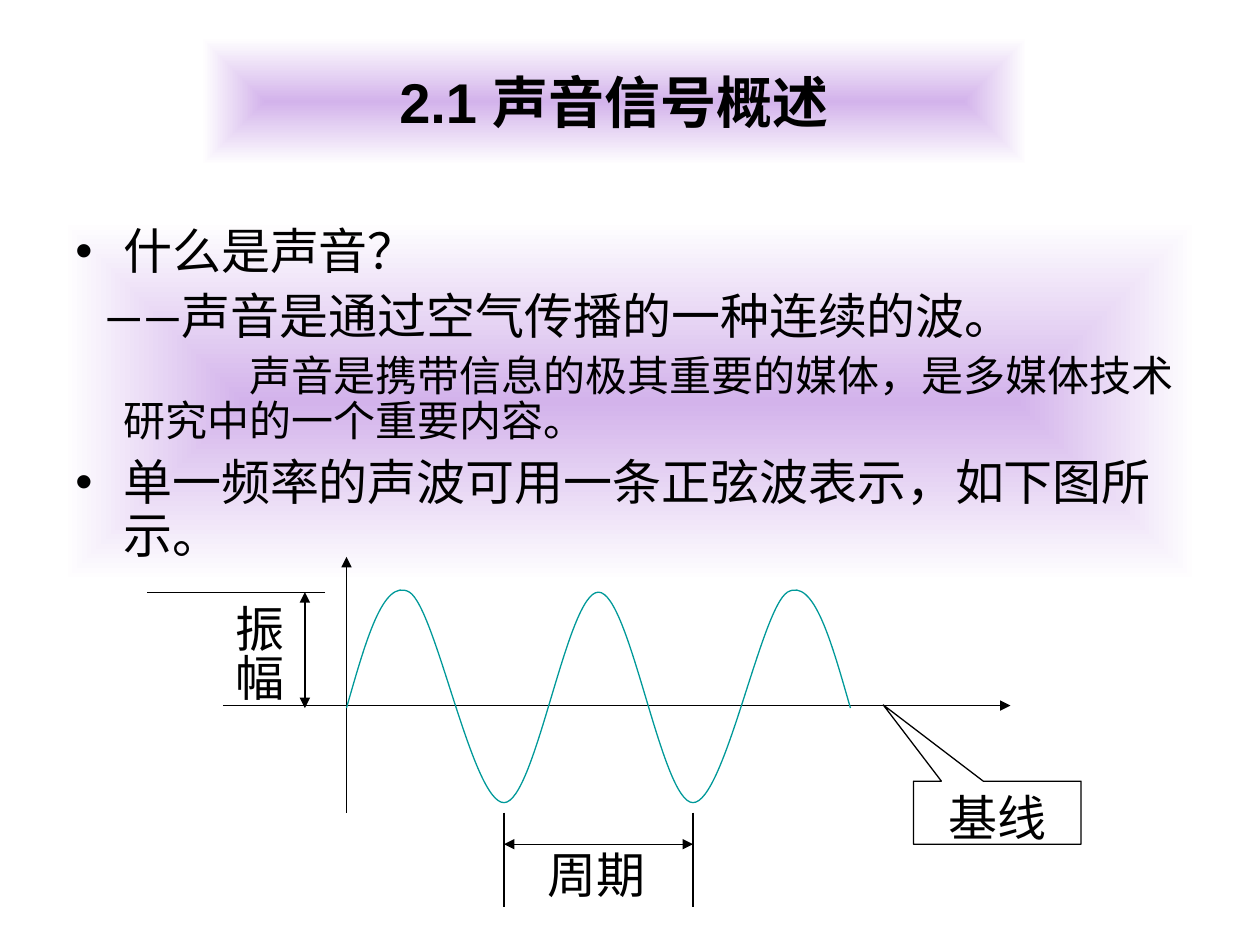
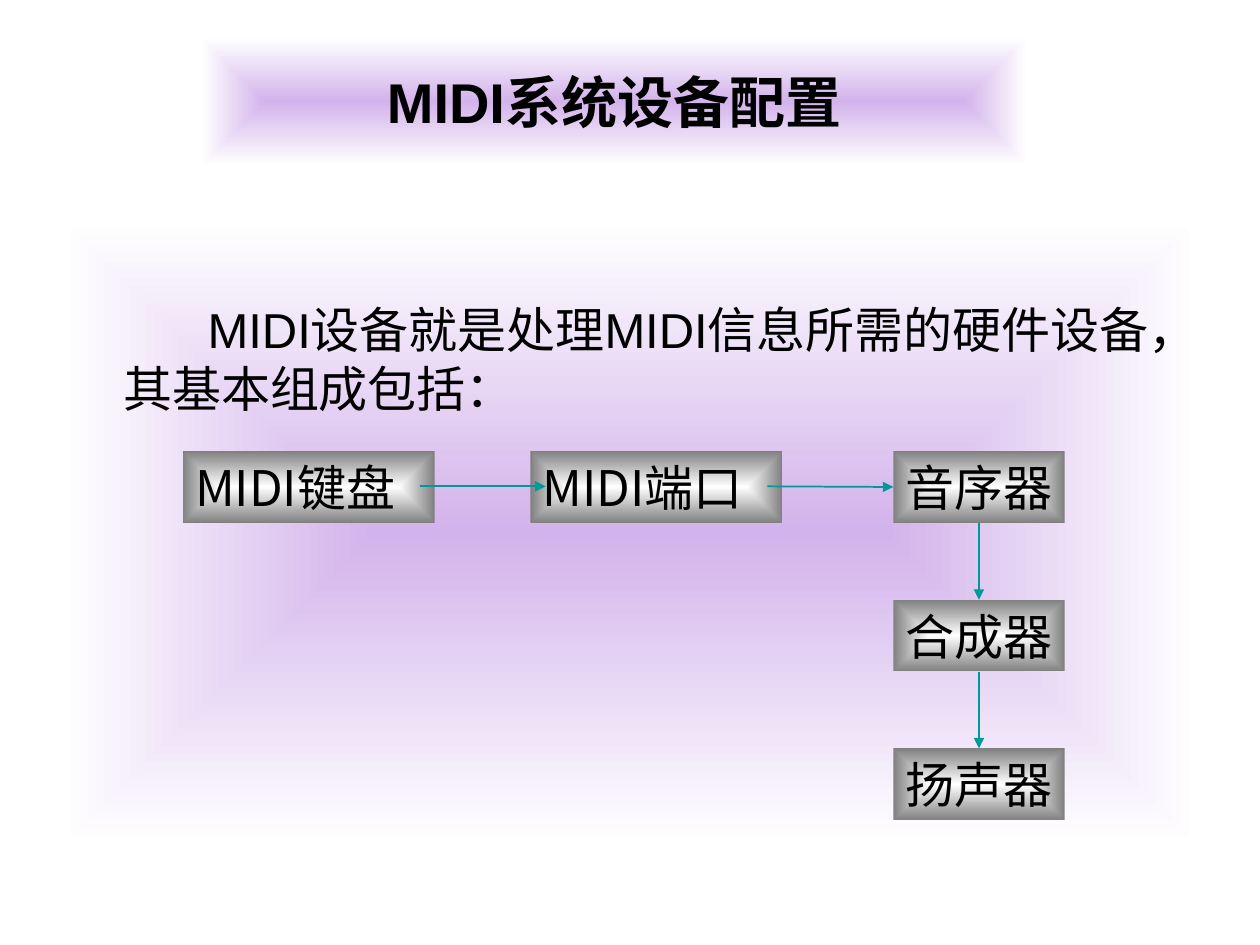
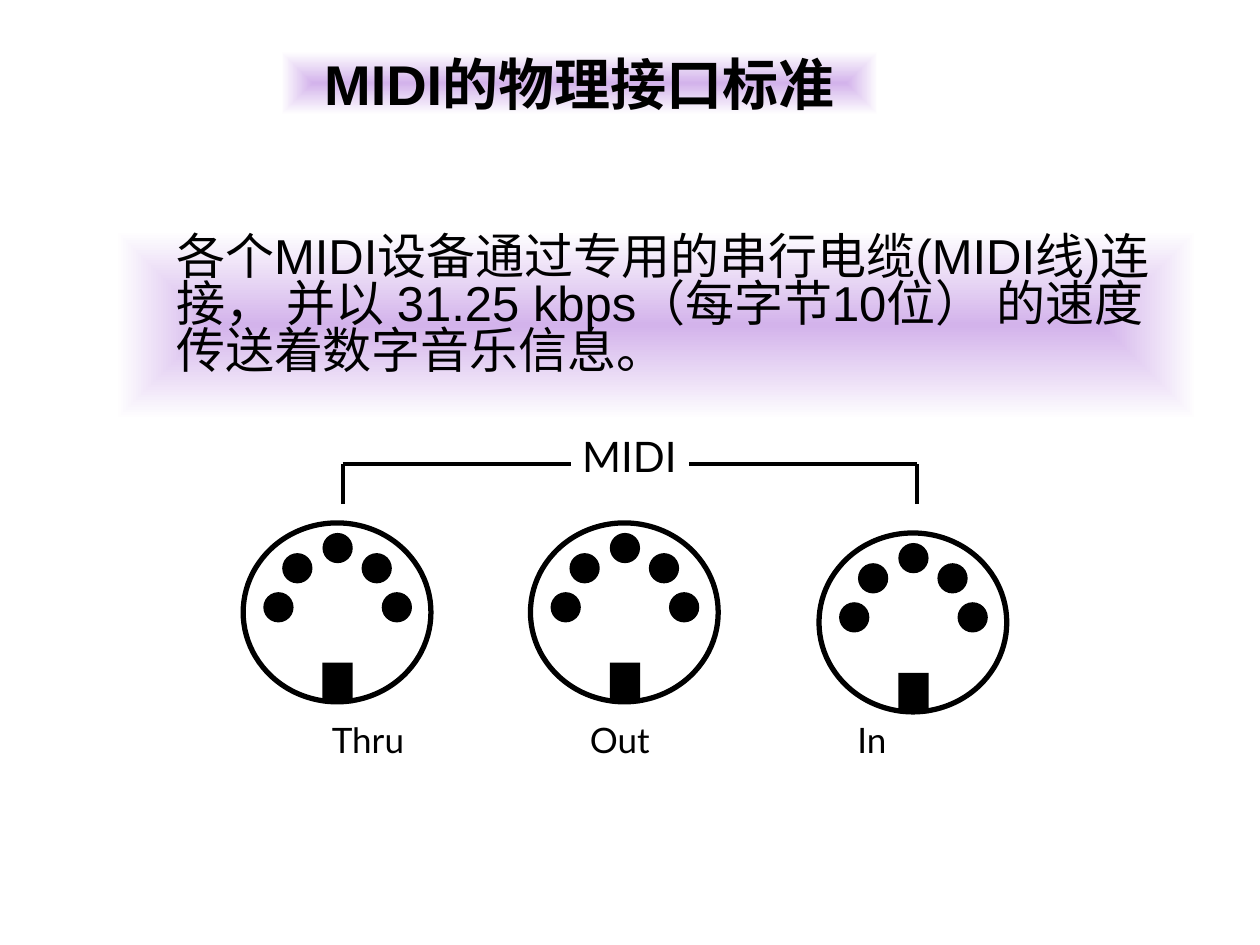
from lxml import etree
from pptx import Presentation
from pptx.dml.color import RGBColor
from pptx.enum.shapes import MSO_CONNECTOR, MSO_SHAPE
from pptx.enum.text import MSO_ANCHOR, PP_ALIGN
from pptx.oxml.ns import qn
from pptx.util import Pt

PX = 9144  # 100 px to the inch
RECTANGLE, ELLIPSE = MSO_SHAPE.RECTANGLE, MSO_SHAPE.OVAL
CALLOUT = MSO_SHAPE.RECTANGULAR_CALLOUT
STRAIGHT = MSO_CONNECTOR.STRAIGHT
TOP, MIDDLE = MSO_ANCHOR.TOP, MSO_ANCHOR.MIDDLE
LEFT, CENTER = PP_ALIGN.LEFT, PP_ALIGN.CENTER
TOP_SIDE, LEFT_SIDE, BOTTOM_SIDE = 0, 1, 2


class Theme:
    black = RGBColor(0x00, 0x00, 0x00)
    teal = RGBColor(0x00, 0x99, 0x99)
    lilac_glow = (RGBColor(0xD3, 0xB3, 0xEB), RGBColor(0xFF, 0xFF, 0xFF))
    steel_glow = (RGBColor(0xFF, 0xFF, 0xFF), RGBColor(0x80, 0x80, 0x80))
    main, serif, device, label = "Arial", "Times New Roman", "Noto Sans CJK SC", "Lato"
    east_asian = "Lato"
    title, body, small, caption = Pt(32), Pt(28), Pt(24), Pt(20)
    thin, arrow, bracket, ring = Pt(0.75), Pt(1), Pt(2.25), Pt(3)


def add_box(page, place, paragraphs=(), kind=None, glow=None, solid=None, outline=None,
            font=Theme.main, size=Theme.body, bold=False, align=LEFT, anchor=TOP,
            spacing=1.0, insets=(10, 5, 10, 5)):
    """Add a shape, or a text box if kind is None; paragraphs are (text, format) pairs."""
    place = [PX * length for length in place]
    if kind is None:
        box = page.shapes.add_textbox(*place)
    else:
        box = page.shapes.add_shape(kind, *place)
        box.shadow.inherit = False
    if glow:
        box.fill.gradient()
        for stop, color in zip(box.fill.gradient_stops, glow):
            stop.color.rgb = color
        gradient = box._element.spPr.find(qn("a:gradFill"))
        gradient.remove(gradient.find(qn("a:lin")))
        focus = etree.SubElement(gradient, qn("a:path"), path="rect")
        etree.SubElement(focus, qn("a:fillToRect"), l="50000", t="50000", r="50000", b="50000")
    elif solid is not None:
        box.fill.solid()
        box.fill.fore_color.rgb = solid
    else:
        box.fill.background()
    if outline:
        box.line.color.rgb = Theme.black
        box.line.width = outline
    else:
        box.line.fill.background()

    frame = box.text_frame
    frame.word_wrap = True
    frame.vertical_anchor = anchor
    for side, inset in zip(("left", "top", "right", "bottom"), insets):
        setattr(frame, f"margin_{side}", PX * inset)
    for index, (text, style) in enumerate(paragraphs):
        para = frame.add_paragraph() if index else frame.paragraphs[0]
        para.alignment = align
        para.line_spacing = spacing
        if index:
            para.space_before = style.get("before", Pt(7))
        if "indent" in style:
            properties = para._p.get_or_add_pPr()
            properties.set("marL", str(38 * PX))
            properties.set("indent", str(style["indent"] * PX))
            if style.get("bullet"):
                etree.SubElement(properties, qn("a:buFont"), typeface=Theme.main)
                etree.SubElement(properties, qn("a:buChar"), char="•")
        span = para.add_run()
        span.text = text
        for name, value in dict(name=font, size=style.get("size", size), bold=bold).items():
            setattr(span.font, name, value)
        span.font.color.rgb = Theme.black
        etree.SubElement(span._r.get_or_add_rPr(), qn("a:ea"), typeface=Theme.east_asian)
    return box


def add_line(page, start, end, color=Theme.black, width=Theme.thin, arrows=()):
    """Add a straight line; arrows lists the ends, "head" or "tail", that get a triangle."""
    line = page.shapes.add_connector(STRAIGHT, *[PX * length for length in (*start, *end)])
    line.line.color.rgb = color
    line.line.width = width
    properties = line._element.spPr
    for end_name in arrows:
        etree.SubElement(properties.find(qn("a:ln")), qn(f"a:{end_name}End"), type="triangle")
    etree.SubElement(properties, qn("a:effectLst"))
    return line


deck = Presentation()
deck.slide_width, deck.slide_height = 1000 * PX, 750 * PX

pages = []
for title, place in [("2.1 声音信号概述", (160, 30, 655, 101)),
                     ("MIDI系统设备配置", (160, 30, 655, 101)),
                     ("MIDI的物理接口标准", (223, 41, 474, 50))]:
    page = deck.slides.add_slide(deck.slide_layouts[6])
    add_box(page, place, [(title, {})], RECTANGLE, Theme.lilac_glow, size=Theme.title,
            bold=True, align=CENTER, anchor=MIDDLE)
    pages.append(page)
wave_page, device_page, port_page = pages

# Sound wave
add_box(wave_page, (50, 175, 900, 287), [
    ("什么是声音？", dict(indent=-38, bullet=True)),
    ("——声音是通过空气传播的一种连续的波。", dict(indent=-15)),
    ("声音是携带信息的极其重要的媒体，是多媒体技术研究中的一个重要内容。",
     dict(indent=100, size=Theme.small, before=Pt(6))),
    ("单一频率的声波可用一条正弦波表示，如下图所示。", dict(indent=-38, bullet=True)),
], RECTANGLE, Theme.lilac_glow, spacing=0.9)

add_line(wave_page, (177, 560), (802, 560), arrows=["tail"])
add_line(wave_page, (275, 442), (275, 645), arrows=["head"])

wave_points = [(290, 510), (304, 458), (325, 470), (346, 483), (375, 637), (400, 637),
               (425, 637), (450, 470), (475, 470), (500, 470), (525, 637), (550, 637),
               (575, 637), (604, 483), (625, 470), (646, 458), (660, 510), (675, 562)]
builder = wave_page.shapes.build_freeform(275, 562, scale=PX)
builder.add_line_segments(wave_points, close=False)
wave = builder.convert_to_shape()
wave.shadow.inherit = False
wave.fill.background()
wave.line.color.rgb = Theme.teal
wave.line.width = Theme.thin
outline = wave._element.spPr.find(".//" + qn("a:path"))
segments = outline.findall(qn("a:lnTo"))
for first in range(0, len(segments), 3):  # every three points make one Bézier curve
    curve = etree.SubElement(outline, qn("a:cubicBezTo"))
    for segment in segments[first:first + 3]:
        curve.append(segment[0])
        outline.remove(segment)

add_line(wave_page, (258, 470), (117, 470))
add_line(wave_page, (242, 470), (242, 562), arrows=["head", "tail"])
amplitude = add_box(wave_page, (167, 470, 66, 95), [("振幅", {})], font=Theme.serif,
                    insets=(5, 10, 5, 0))
amplitude.text_frame._txBody.bodyPr.set("vert", "eaVert")
for x in (400, 550):
    add_line(wave_page, (x, 645), (x, 720))
add_line(wave_page, (400, 670), (550, 670), arrows=["head", "tail"])
add_box(wave_page, (425, 665, 97, 57), [("周期", {})], font=Theme.serif, insets=(10, 5, 0, 5))
baseline = add_box(wave_page, (725, 620, 133, 50), [("基线", {})], CALLOUT,
                   outline=Theme.thin, font=Theme.serif, align=CENTER)
baseline.adjustments[0], baseline.adjustments[1] = -0.68, -1.71

# MIDI devices
add_box(device_page, (50, 175, 900, 495),
        [("MIDI设备就是处理MIDI信息所需的硬件设备，其基本组成包括：", dict(indent=67))],
        RECTANGLE, Theme.lilac_glow, insets=(10, 63, 10, 5))
devices = {}
for name, left, top, width in [("合成器", 709, 476, 136), ("扬声器", 709, 594, 136),
                               ("MIDI键盘", 145, 358, 200), ("MIDI端口", 421, 358, 200),
                               ("音序器", 709, 358, 136)]:
    devices[name] = add_box(device_page, (left, top, width, 57), [(name, {})], RECTANGLE,
                            Theme.steel_glow, font=Theme.device, anchor=MIDDLE,
                            insets=(10, 5, 0, 5))
flow = dict(color=Theme.teal, width=Theme.arrow, arrows=["tail"])
add_line(device_page, (333, 386), (433, 386), **flow)
to_sequencer = add_line(device_page, (609, 386), (709, 386), **flow)
to_sequencer.end_connect(devices["音序器"], LEFT_SIDE)
for upper, lower, top in [("音序器", "合成器", 415), ("合成器", "扬声器", 533)]:
    link = add_line(device_page, (777, top), (777, top + 61), **flow)
    link.begin_connect(devices[upper], BOTTOM_SIDE)
    link.end_connect(devices[lower], TOP_SIDE)

# MIDI ports
add_box(port_page, (92, 183, 858, 150),
        [("各个MIDI设备通过专用的串行电缆(MIDI线)连接， 并以 31.25 kbps（每字节10位） "
          "的速度传送着数字音乐信息。", dict(indent=0))],
        RECTANGLE, Theme.lilac_glow, spacing=0.8)
pins = [(63, 8), (31, 24), (16, 55), (94, 24), (110, 55)]
for left, top in [(193, 415), (421, 415), (650, 423)]:
    add_box(port_page, (left, top, 149, 142), kind=ELLIPSE, outline=Theme.ring)
    for x, y in pins:
        add_box(port_page, (left + x, top + y, 24, 24), kind=ELLIPSE, solid=Theme.black)
    add_box(port_page, (left + 63, top + 111, 24, 32), kind=RECTANGLE, solid=Theme.black)

add_box(port_page, (451, 337, 97, 50), [("MIDI", {})], font=Theme.label, size=Theme.small,
        align=CENTER)
for outer, inner in [(272, 453), (728, 547)]:
    add_line(port_page, (outer, 400), (outer, 368), width=Theme.bracket)
    add_line(port_page, (outer, 368), (inner, 368), width=Theme.bracket)
for index, port in enumerate(["Thru", "Out", "In"]):
    add_box(port_page, (242 + 200 * index, 565, 100, 44), [(port, {})], font=Theme.label,
            size=Theme.caption, align=CENTER)

deck.save("out.pptx")
